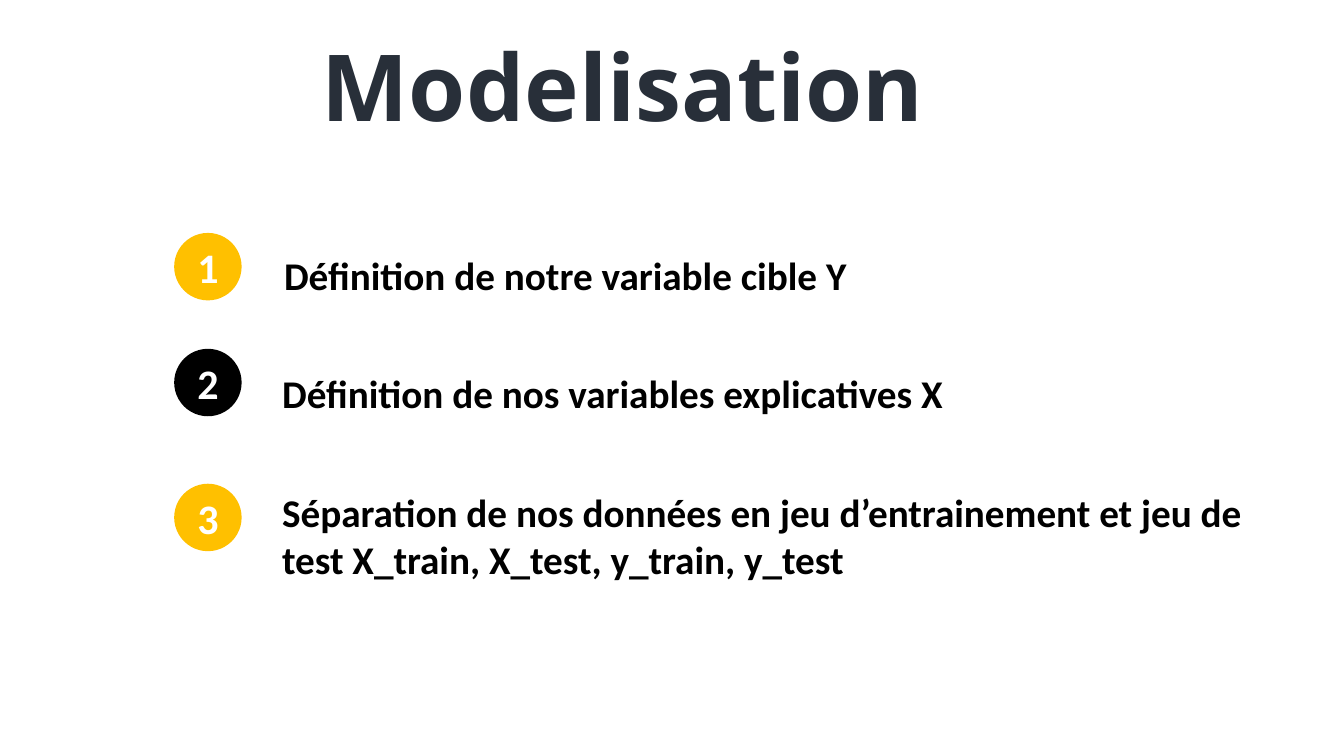
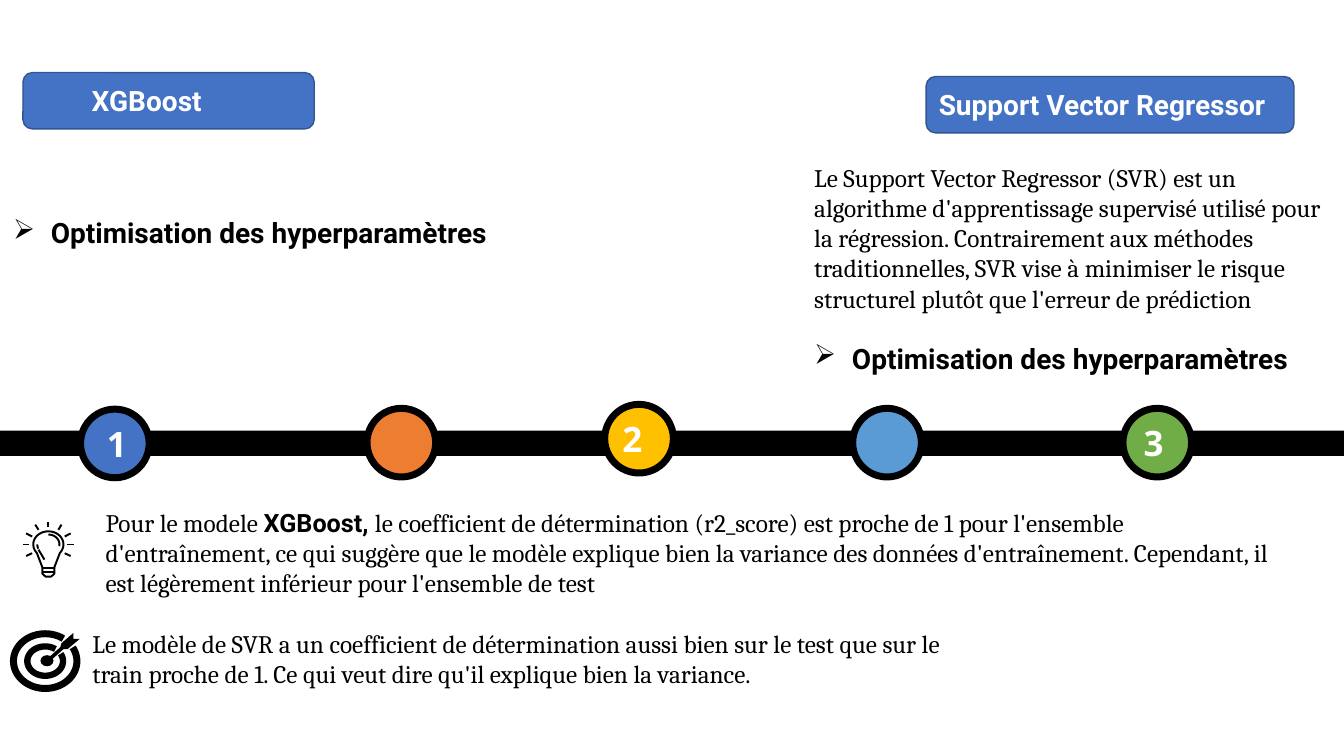
from math import cos, radians, sin

from lxml import etree
from pptx import Presentation
from pptx.dml.color import RGBColor
from pptx.enum.shapes import MSO_CONNECTOR, MSO_SHAPE
from pptx.enum.text import MSO_ANCHOR, PP_ALIGN
from pptx.oxml.ns import qn
from pptx.util import Cm, Pt

OVAL = MSO_SHAPE.OVAL
RECTANGLE = MSO_SHAPE.RECTANGLE
ROUNDED = MSO_SHAPE.ROUNDED_RECTANGLE
STRAIGHT = MSO_CONNECTOR.STRAIGHT
LEFT = PP_ALIGN.LEFT
CENTER = PP_ALIGN.CENTER
TOP = MSO_ANCHOR.TOP
MIDDLE = MSO_ANCHOR.MIDDLE

COLORS = {
    "black": "000000",
    "white": "FFFFFF",
    "title": "282F39",
    "gold": "FFC000",
    "blue": "4472C4",
    "navy": "325491",
    "orange": "ED7D31",
    "sky": "5B9BD5",
    "green": "70AD47",
}
SLIDE_WIDTH, SLIDE_HEIGHT = 33.87, 19.05


def color_of(name):
    return RGBColor.from_string(COLORS[name])


def add_run(paragraph, text, *, font="Cambria", size=18, color="black", bold=False):
    run = paragraph.add_run()
    run.text = text
    run.font.name = font
    run.font.size = Pt(size)
    run.font.bold = bold
    run.font.color.rgb = color_of(color)


def arc(center, radius, start, end, step=5):
    return [
        (center[0] + radius[0] * cos(radians(angle)),
         center[1] + radius[1] * sin(radians(angle)))
        for angle in range(start, end + 1, step)
    ]


class Deck:
    title_style = {"font": "Noto Sans", "size": 66, "color": "title", "bold": True}
    step_style = {"font": "Calibri", "size": 28, "bold": True}
    badge_style = {"font": "Calibri", "size": 30, "color": "white", "bold": True}
    marker_style = {"font": "Open Sans", "size": 25, "color": "white", "bold": True}
    heading_style = {"font": "Roboto", "size": 20, "bold": True}
    strong_style = {"font": "Roboto", "bold": True}

    def __init__(self):
        self.presentation = Presentation()
        self.presentation.slide_width = Cm(SLIDE_WIDTH)
        self.presentation.slide_height = Cm(SLIDE_HEIGHT)
        self.slide = None

    def new_slide(self):
        self.slide = self.presentation.slides.add_slide(self.presentation.slide_layouts[6])

    def paint(self, shape, fill=None, line=None, weight=1):
        shape.shadow.inherit = False
        if fill:
            shape.fill.solid()
            shape.fill.fore_color.rgb = color_of(fill)
        else:
            shape.fill.background()
        if line:
            shape.line.color.rgb = color_of(line)
            shape.line.width = Pt(weight)
        else:
            shape.line.fill.background()

    def fill_text(self, shape, runs, align=LEFT, anchor=TOP):
        frame = shape.text_frame
        frame.word_wrap = True
        frame.vertical_anchor = anchor
        paragraph = frame.paragraphs[0]
        paragraph.alignment = align
        for text, style in runs:
            add_run(paragraph, text, **style)
        return paragraph

    def text(self, left, top, width, height, *runs, align=LEFT):
        box = self.slide.shapes.add_textbox(Cm(left), Cm(top), Cm(width), Cm(height))
        return self.fill_text(box, runs, align)

    def shape(self, kind, left, top, width, height, fill, line=None, weight=1):
        shape = self.slide.shapes.add_shape(kind, Cm(left), Cm(top), Cm(width), Cm(height))
        self.paint(shape, fill, line, weight)
        return shape

    def badge(self, number, left, top, fill):
        circle = self.shape(OVAL, left, top, 1.7, 1.7, fill)
        self.fill_text(circle, [(number, self.badge_style)], CENTER, MIDDLE)

    def tag(self, text, left, top, width, inset):
        tag = self.shape(ROUNDED, left, top, width, 1.42, "blue", "navy")
        tag.text_frame.margin_left = Cm(inset)
        self.fill_text(tag, [(text, {**self.heading_style, "color": "white"})], anchor=MIDDLE)

    def bullet(self, text, left, top):
        paragraph = self.text(left, top, 13.5, 1.08, (text, self.heading_style))
        properties = paragraph._p.get_or_add_pPr()
        properties.set("marL", str(Cm(0.95)))
        properties.set("indent", str(-Cm(0.95)))
        etree.SubElement(properties, qn("a:buChar")).set("char", "➢")

    def line(self, start, end, weight):
        ends = [Cm(value) for value in (*start, *end)]
        connector = self.slide.shapes.add_connector(STRAIGHT, *ends)
        connector.line.color.rgb = color_of("black")
        connector.line.width = Pt(weight)
        etree.SubElement(connector._element.spPr, qn("a:effectLst"))

    def outline(self, points, closed=False, **paint):
        corners = [(Cm(x), Cm(y)) for x, y in points]
        builder = self.slide.shapes.build_freeform(*corners[0])
        builder.add_line_segments(corners[1:], close=closed)
        self.paint(builder.convert_to_shape(), **paint)

    def bulb(self, x, y):
        stroke = {"line": "black", "weight": 1.4}
        base = [(0.15, 0.58), (0.15, 0.74), (0.07, 0.81),
                (-0.07, 0.81), (-0.15, 0.74), (-0.15, 0.58)]
        glass = arc((x, y), (0.38, 0.33), 140, 400)
        self.outline(glass + [(x + dx, y + dy) for dx, dy in base], closed=True, **stroke)
        self.outline(arc((x, y), (0.28, 0.25), 270, 370), **stroke)
        self.outline(arc((x, y), (0.28, 0.25), 155, 180), **stroke)
        self.line((x - 0.25, y + 0.13), (x - 0.1, y + 0.38), 1.4)
        for dy in (0.6, 0.7):
            self.line((x - 0.13, y + dy), (x + 0.13, y + dy), 1.4)
        self.line((x, y - 0.57), (x, y - 0.44), 1.4)
        rays = [(0.33, -0.5, 0.25, -0.37), (0.56, -0.28, 0.41, -0.2),
                (0.64, 0, 0.48, 0), (0.56, 0.29, 0.41, 0.22)]
        for side in (-1, 1):
            for far_x, far_y, near_x, near_y in rays:
                self.line((x + side * far_x, y + far_y), (x + side * near_x, y + near_y), 1.4)

    def target(self, x, y):
        for radius, weight in (((0.8, 0.69), 5), ((0.45, 0.37), 4.5)):
            self.outline(arc((x, y), radius, -30, 305), line="black", weight=weight)
        self.shape(OVAL, x - 0.12, y - 0.15, 0.33, 0.28, "black")
        arrow = [(0.71, -0.71), (0.71, -0.56), (0.87, -0.56), (0.56, -0.3), (0.46, -0.3),
                 (0.19, -0.06), (0.11, -0.11), (0.38, -0.35), (0.41, -0.45)]
        self.outline([(x + dx, y + dy) for dx, dy in arrow], closed=True, fill="black")


def build_steps(deck):
    deck.new_slide()
    deck.text(0.17, 0.61, 31.04, 3.07, ("Modelisation", deck.title_style), align=CENTER)
    steps = [
        ("Définition de notre variable cible Y", "gold", 5.87, 6.91, 6.22),
        ("Définition de nos variables explicatives X", "black", 8.79, 6.86, 9.17),
        ("Séparation de nos données en jeu d’entrainement et jeu de test "
         "X_train, X_test, y_train, y_test", "gold", 12.19, 6.86, 12.19),
    ]
    for number, (text, fill, badge_top, left, top) in enumerate(steps, 1):
        deck.badge(str(number), 4.39, badge_top, fill)
        deck.text(left, top, 25.3, 2.64, (text, deck.step_style))


def build_models(deck):
    deck.new_slide()
    deck.shape(RECTANGLE, 0, 10.85, SLIDE_WIDTH, 0.64, "black")
    markers = [
        ("blue", 2.03, 10.31, "1", 0.05),
        ("orange", 9.25, 10.29, None, 0),
        ("gold", 15.24, 10.19, "2", -0.17),
        ("sky", 21.49, 10.29, None, 0),
        ("green", 28.3, 10.29, "3", -0.09),
    ]
    for fill, left, top, number, shift in markers:
        deck.shape(OVAL, left, top, 1.73, 1.73, fill, "black", 5)
        if number:
            deck.text(left + shift, top + 0.2, 1.73, 1.32,
                      (number, deck.marker_style), align=CENTER)

    deck.tag("XGBoost", 0.58, 1.83, 7.34, 1.66)
    deck.tag("Support Vector Regressor", 23.34, 1.93, 9.27, 0.25)
    for left, top in ((0.08, 5.31), (20.27, 8.48)):
        deck.bullet("Optimisation des hyperparamètres", left, top)

    deck.text(20.27, 3.96, 13.51, 4.2, (
        "Le Support Vector Regressor (SVR) est un algorithme d'apprentissage supervisé "
        "utilisé pour la régression. Contrairement aux méthodes traditionnelles, SVR vise "
        "à minimiser le risque structurel plutôt que l'erreur de prédiction", {}))
    deck.bulb(1.22, 13.72)
    deck.text(
        2.41, 12.65, 30.33, 2.57,
        ("Pour le modele ", {}),
        ("XGBoost, ", deck.strong_style),
        ("le coefficient de détermination (r2_score) est proche de 1 pour l'ensemble "
         "d'entraînement, ce qui suggère que le modèle explique bien la variance des données "
         "d'entraînement. Cependant, il est légèrement inférieur pour l'ensemble de test", {}))
    deck.target(1.14, 16.66)
    deck.text(2.08, 15.7, 22.89, 1.8, (
        "Le modèle de SVR a un coefficient de détermination aussi bien sur le test que sur "
        "le train proche de 1. Ce qui veut dire qu'il explique bien la variance.", {}))


def main():
    deck = Deck()
    build_steps(deck)
    build_models(deck)
    deck.presentation.save("out.pptx")


if __name__ == "__main__":
    main()
